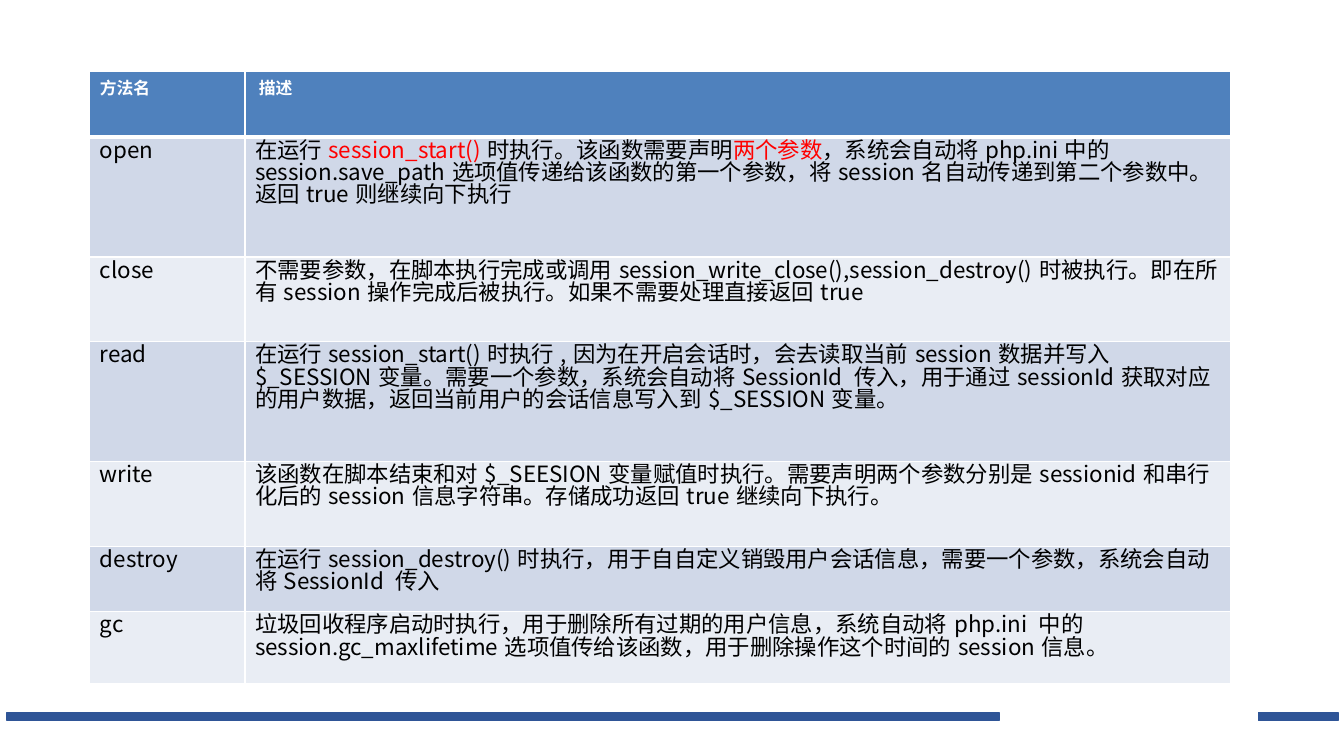
from lxml.etree import SubElement
from pptx import Presentation
from pptx.dml.color import RGBColor
from pptx.enum.shapes import MSO_SHAPE as Shape
from pptx.oxml.ns import qn
from pptx.util import Inches, Pt

FONT = "Noto Sans CJK SC"
WHITE = RGBColor(0xFF, 0xFF, 0xFF)
BLACK = RGBColor(0, 0, 0)
RED = RGBColor(0xFF, 0, 0)
BAR_BLUE = RGBColor(0x2F, 0x55, 0x97)
HEADER_BLUE = RGBColor(0x4F, 0x81, 0xBD)
BANDS = (RGBColor(0xE9, 0xED, 0xF4), RGBColor(0xD0, 0xD8, 0xE8))

HEADER_FORMAT = {"name": FONT, "size": Pt(12), "bold": True}
BODY_FORMAT = {"name": FONT, "size": Pt(16), "bold": False}

COLUMN_WIDTHS = (1.54, 9.78)
ROW_HEIGHTS = (0.65, 1.19, 0.84, 1.19, 0.84, 0.65, 0.71)
FOOTER_BARS = ((0.07, 9.84), (12.48, 0.79))

# Odd-numbered pieces of a description are highlighted.
METHODS = (
    ("方法名", (" 描述",)),
    ("open", (
        "在运行", "session_start()", "时执行。该函数需要声明", "两个参数",
        "，系统会自动将php.ini中的session.save_path选项值传递给该函数的第一个参数，"
        "将session名自动传递到第二个参数中。返回true则继续向下执行")),
    ("close", (
        "不需要参数，在脚本执行完成或调用session_write_close(),session_destroy()时被执行。"
        "即在所有session操作完成后被执行。如果不需要处理直接返回true",)),
    ("read", (
        "在运行session_start()时执行,因为在开启会话时，会去读取当前session数据并写入"
        "$_SESSION变量。需要一个参数，系统会自动将SessionId 传入，用于通过sessionId获取"
        "对应的用户数据，返回当前用户的会话信息写入到$_SESSION变量。",)),
    ("write", (
        "该函数在脚本结束和对$_SEESION变量赋值时执行。需要声明两个参数分别是sessionid和"
        "串行化后的session信息字符串。存储成功返回true继续向下执行。",)),
    ("destroy", (
        "在运行session_destroy()时执行，用于自自定义销毁用户会话信息，需要一个参数，"
        "系统会自动将SessionId 传入",)),
    ("gc", (
        "垃圾回收程序启动时执行，用于删除所有过期的用户信息，系统自动将php.ini 中的"
        "session.gc_maxlifetime选项值传给该函数，用于删除操作这个时间的session信息。",)),
)


def add_footer_bar(slide, left, width):
    bar = slide.shapes.add_shape(
        Shape.RECTANGLE, Inches(left), Inches(7.07), Inches(width), Inches(0.08))
    bar.shadow.inherit = False
    bar.fill.solid()
    bar.fill.fore_color.rgb = BAR_BLUE
    bar.line.color.rgb = BAR_BLUE
    bar.line.width = Pt(1)


def add_borders(cell, row):
    widths = {"L": 1, "R": 1, "T": 3 if row == 1 else 1, "B": 3 if row == 0 else 1}
    properties = cell._tc.get_or_add_tcPr()
    for side, width in widths.items():
        border = SubElement(properties, qn(f"a:ln{side}"), w=str(Pt(width)))
        paint = SubElement(border, qn("a:solidFill"))
        SubElement(paint, qn("a:srgbClr"), val=str(WHITE))


def write_pieces(cell, pieces, font_format, color):
    paragraph = cell.text_frame.paragraphs[0]
    paragraph.line_spacing = Pt(16)
    for index, piece in enumerate(pieces):
        run = paragraph.add_run()
        run.text = piece
        for attribute, value in font_format.items():
            setattr(run.font, attribute, value)
        run.font.color.rgb = RED if index % 2 else color
        SubElement(run.font._element, qn("a:ea"), typeface=FONT)


def fill_cell(cell, row, pieces):
    is_header = row == 0
    add_borders(cell, row)
    cell.fill.solid()
    cell.fill.fore_color.rgb = HEADER_BLUE if is_header else BANDS[row % 2]
    write_pieces(cell, pieces, HEADER_FORMAT if is_header else BODY_FORMAT,
                 WHITE if is_header else BLACK)


def add_method_table(slide):
    methods = slide.shapes.add_table(
        len(METHODS), len(COLUMN_WIDTHS), Inches(0.89), Inches(0.71),
        Inches(sum(COLUMN_WIDTHS)), Inches(sum(ROW_HEIGHTS))).table
    for column, width in zip(methods.columns, COLUMN_WIDTHS):
        column.width = Inches(width)
    for row, (method, description) in enumerate(METHODS):
        methods.rows[row].height = Inches(ROW_HEIGHTS[row])
        fill_cell(methods.cell(row, 0), row, (method,))
        fill_cell(methods.cell(row, 1), row, description)


def main():
    deck = Presentation()
    deck.slide_width, deck.slide_height = Inches(13.33), Inches(7.5)
    slide = deck.slides.add_slide(deck.slide_layouts[6])
    for left, width in FOOTER_BARS:
        add_footer_bar(slide, left, width)
    add_method_table(slide)
    deck.save("out.pptx")


if __name__ == "__main__":
    main()
